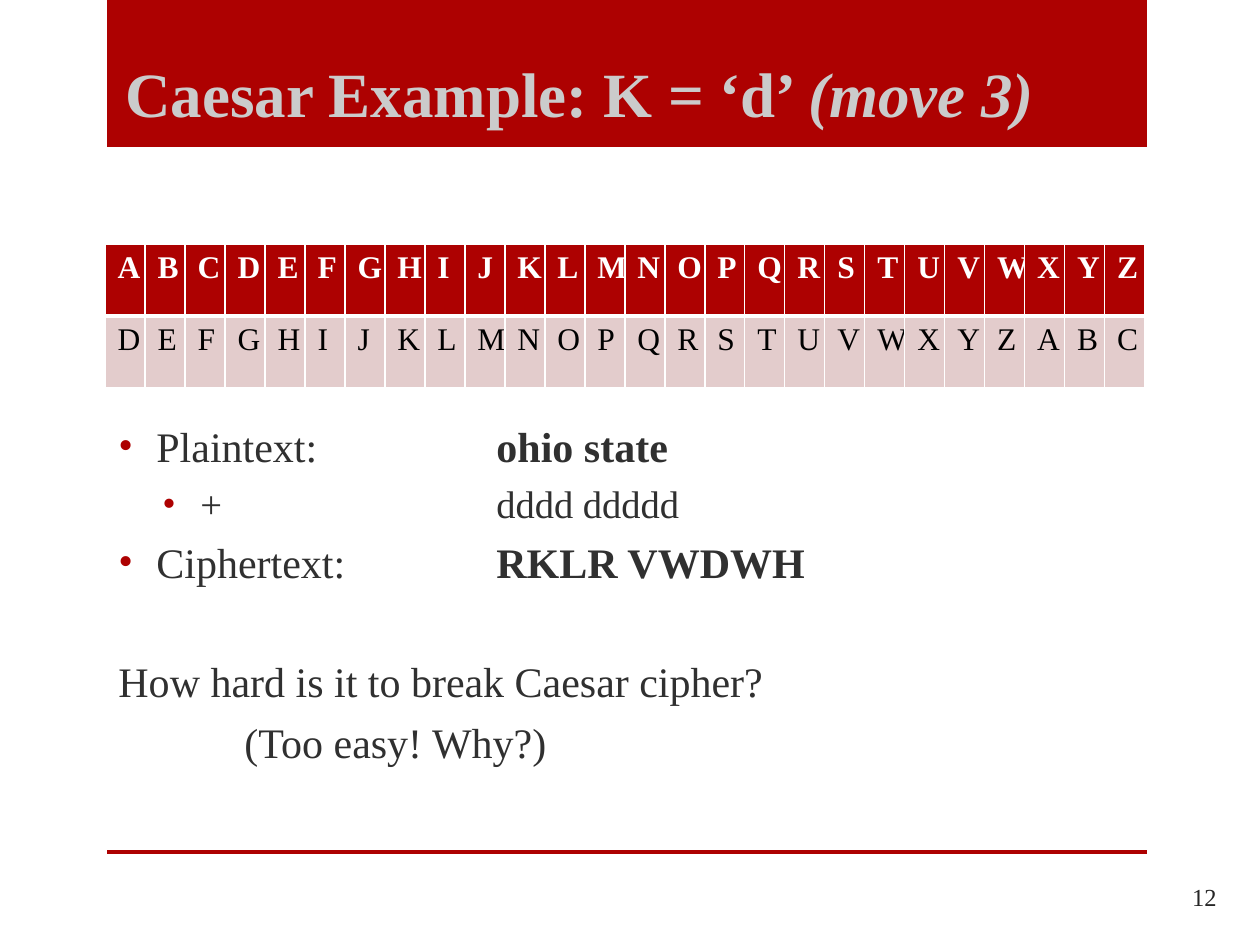
from dataclasses import dataclass
from typing import NamedTuple

from lxml import etree
from pptx import Presentation
from pptx.dml.color import RGBColor
from pptx.enum.shapes import MSO_SHAPE
from pptx.enum.text import MSO_ANCHOR, PP_ALIGN
from pptx.oxml.ns import qn
from pptx.util import Emu, Pt

RECT = MSO_SHAPE.RECTANGLE
MIDDLE, BOTTOM = MSO_ANCHOR.MIDDLE, MSO_ANCHOR.BOTTOM
LEFT, RIGHT = PP_ALIGN.LEFT, PP_ALIGN.RIGHT

EMU_PER_PX = 914400 / 126
FONT = "Times New Roman"
RED, PINK, WHITE, BLACK = "AD0101", "E3CCCC", "FFFFFF", "000000"
TITLE_GRAY, BODY_GRAY, NUMBER_GRAY = "CBCBCB", "303030", "262626"
ALPHABET = "ABCDEFGHIJKLMNOPQRSTUVWXYZ"
SHIFT = 3
VALUE_TAB = 378
HANGING = 38


class Box(NamedTuple):
    x: int
    y: int
    w: int
    h: int


@dataclass
class Run:
    text: str
    bold: bool = False
    italic: bool = False


@dataclass
class Line:
    runs: list[Run]
    size: int = 24
    color: str = BODY_GRAY
    margin: int = 0
    bullet: bool = False
    before: float = 0
    align: PP_ALIGN = LEFT


def px(n: int) -> Emu:
    return Emu(round(n * EMU_PER_PX))


def rgb(value: str) -> RGBColor:
    return RGBColor.from_string(value)


def add_bar(slide, box: Box, color: str) -> None:
    sp = slide.shapes.add_shape(RECT, *map(px, box))
    sp.shadow.inherit = False
    sp.fill.solid()
    sp.fill.fore_color.rgb = rgb(color)
    sp.line.fill.background()


def add_bullet(p) -> None:
    pPr = p._p.get_or_add_pPr()
    clr = etree.SubElement(pPr, qn("a:buClr"))
    etree.SubElement(clr, qn("a:srgbClr"), val=RED)
    etree.SubElement(pPr, qn("a:buFont"), typeface=FONT)
    etree.SubElement(pPr, qn("a:buChar"), char="•")
    tabs = etree.SubElement(pPr, qn("a:tabLst"))
    etree.SubElement(tabs, qn("a:tab"), pos=str(px(VALUE_TAB)), algn="l")


def write_line(p, line: Line) -> None:
    pPr = p._p.get_or_add_pPr()
    pPr.set("marL", str(px(line.margin)))
    pPr.set("indent", str(px(-HANGING if line.bullet else 0)))
    if line.bullet:
        add_bullet(p)
    p.alignment = line.align
    if line.before:
        p.space_before = Pt(line.before)
    for run in line.runs:
        r = p.add_run()
        r.text = run.text
        r.font.name = FONT
        r.font.size = Pt(line.size)
        r.font.bold = run.bold
        r.font.italic = run.italic
        r.font.color.rgb = rgb(line.color)


def add_text(slide, box: Box, anchor: MSO_ANCHOR, lines: list[Line]) -> None:
    tf = slide.shapes.add_textbox(*map(px, box)).text_frame
    tf.word_wrap = True
    tf.vertical_anchor = anchor
    for i, line in enumerate(lines):
        write_line(tf.add_paragraph() if i else tf.paragraphs[0], line)


def set_borders(cell, top: int, bottom: int) -> None:
    tcPr = cell._tc.get_or_add_tcPr()
    widths = {"a:lnL": 1, "a:lnR": 1, "a:lnT": top, "a:lnB": bottom}
    for i, (tag, width) in enumerate(widths.items()):
        ln = etree.Element(qn(tag), w=str(Pt(width)))
        fill = etree.SubElement(ln, qn("a:solidFill"))
        etree.SubElement(fill, qn("a:srgbClr"), val=WHITE)
        tcPr.insert(i, ln)


def add_cipher_table(slide, x: int, y: int, col_w: int, row_h: int) -> None:
    shifted = ALPHABET[SHIFT:] + ALPHABET[:SHIFT]
    box = Box(x, y, col_w * len(ALPHABET), row_h * 2)
    table = slide.shapes.add_table(2, len(ALPHABET), *map(px, box)).table
    for col in table.columns:
        col.width = px(col_w)
    # letters, fill, text colour, bold, top and bottom border
    rows = [(ALPHABET, RED, WHITE, True, 1, 3),
            (shifted, PINK, BLACK, False, 3, 1)]
    for i, (letters, fill, color, bold, top, bottom) in enumerate(rows):
        table.rows[i].height = px(row_h)
        for j, letter in enumerate(letters):
            cell = table.cell(i, j)
            cell.fill.solid()
            cell.fill.fore_color.rgb = rgb(fill)
            set_borders(cell, top, bottom)
            write_line(cell.text_frame.paragraphs[0],
                       Line([Run(letter, bold)], 18, color))


def main() -> None:
    prs = Presentation()
    prs.slide_width, prs.slide_height = px(1260), px(945)
    slide = prs.slides.add_slide(prs.slide_layouts[6])

    # Title band and footer rule
    add_bar(slide, Box(107, 0, 1040, 147), RED)
    add_bar(slide, Box(107, 850, 1040, 4), RED)
    add_text(slide, Box(113, 0, 935, 136), BOTTOM, [
        Line([Run("Caesar Example: K = ‘d’ ", True),
              Run("(move 3)", True, True)], 36, TITLE_GRAY)])

    # Worked example and question
    add_text(slide, Box(106, 378, 1040, 431), MIDDLE, [
        Line([Run("Plaintext:\t"), Run("ohio state", True)],
             margin=HANGING, bullet=True),
        Line([Run("+\tdddd ddddd")], 22, margin=82, bullet=True, before=5.3),
        Line([Run("Ciphertext:\t"), Run("RKLR VWDWH", True)],
             margin=HANGING, bullet=True, before=5.8),
        Line([Run("How hard is it to break Caesar cipher?")], before=39.2),
        Line([Run("(Too easy! Why?)")], margin=126, before=5.8)])

    # Page number
    add_text(slide, Box(1124, 872, 105, 50), MIDDLE, [
        Line([Run("12")], 14, NUMBER_GRAY, align=RIGHT)])

    # Substitution table
    add_cipher_table(slide, 105, 244, 40, 72)
    prs.save("out.pptx")


if __name__ == "__main__":
    main()
